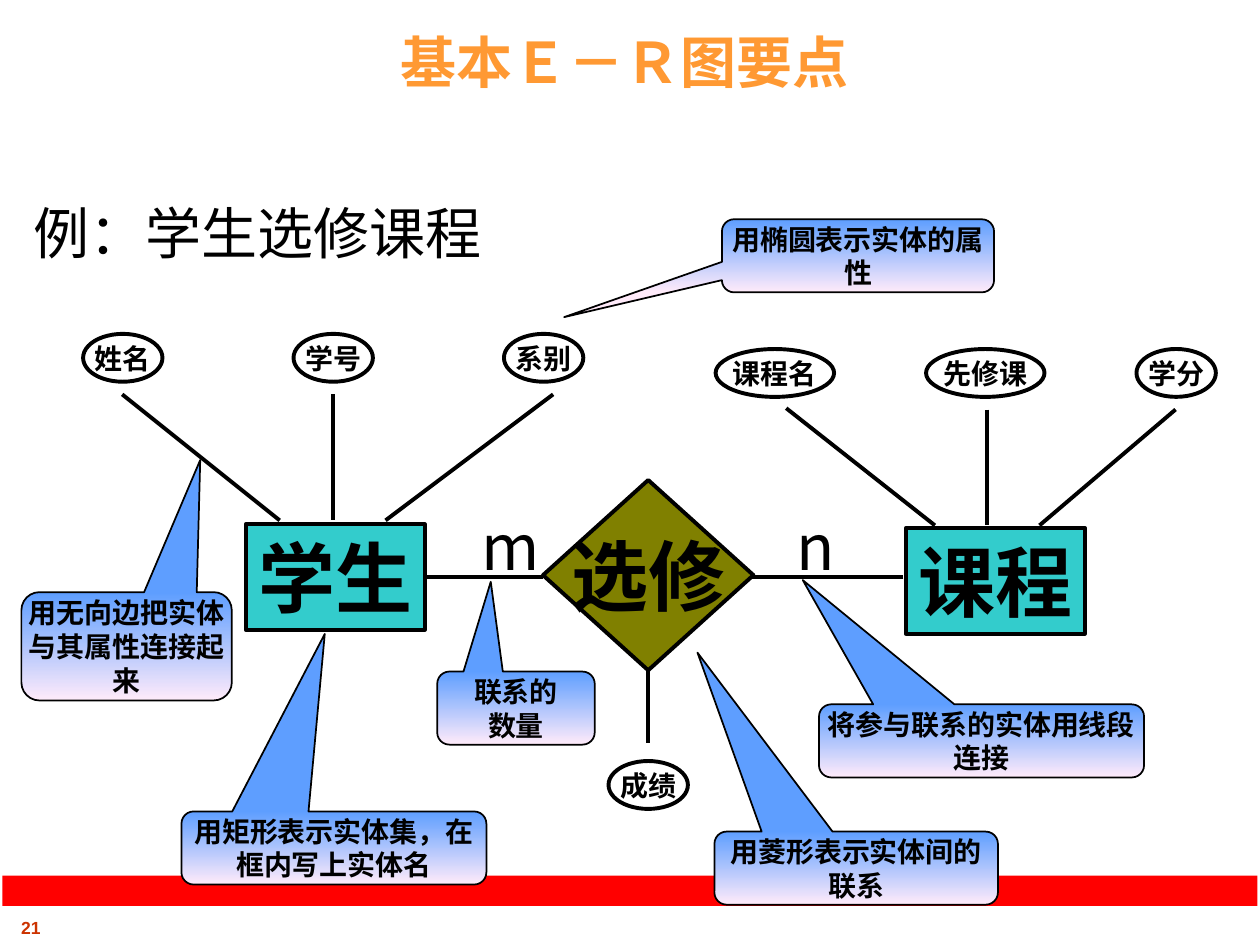
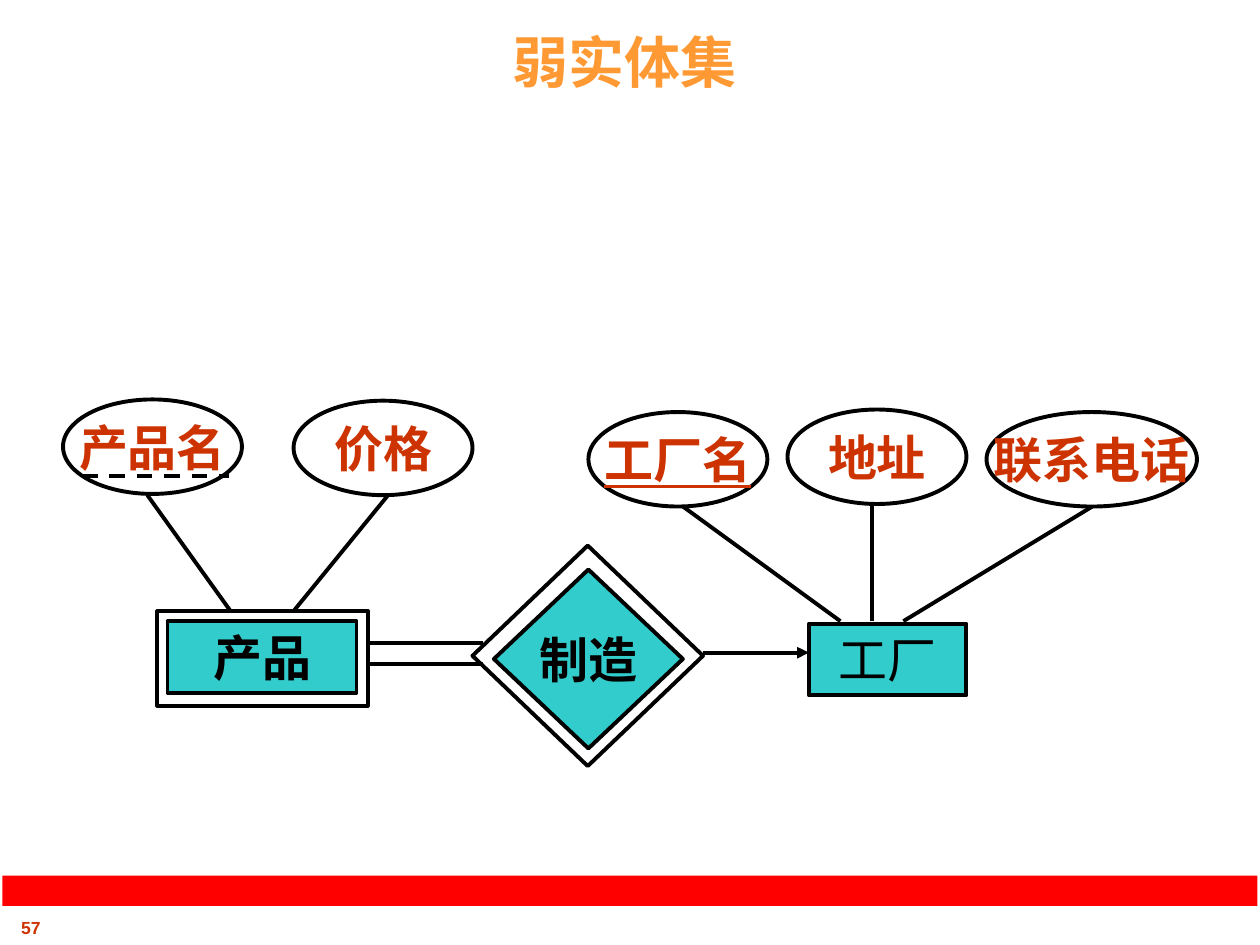
"""Build two slides on basic E-R diagrams and weak entity sets."""
from dataclasses import dataclass

from lxml import etree
from pptx import Presentation
from pptx.dml.color import RGBColor
from pptx.enum.dml import MSO_LINE
from pptx.enum.shapes import MSO_CONNECTOR, MSO_SHAPE
from pptx.enum.text import MSO_ANCHOR, PP_ALIGN
from pptx.oxml.ns import qn
from pptx.util import Inches, Pt

RECTANGLE = MSO_SHAPE.RECTANGLE
DIAMOND = MSO_SHAPE.DIAMOND
OVAL = MSO_SHAPE.OVAL
CALLOUT = MSO_SHAPE.ROUNDED_RECTANGULAR_CALLOUT
STRAIGHT = MSO_CONNECTOR.STRAIGHT
DASH = MSO_LINE.DASH
TOP, MIDDLE, BOTTOM = MSO_ANCHOR.TOP, MSO_ANCHOR.MIDDLE, MSO_ANCHOR.BOTTOM
LEFT, CENTER = PP_ALIGN.LEFT, PP_ALIGN.CENTER

BLACK, WHITE = "000000", "FFFFFF"
TEAL, OLIVE = "33CCCC", "808000"
ORANGE, BRICK, RED = "FF9933", "CC3300", "FF0000"
NOTE_TOP, NOTE_BOTTOM = "5E9EFF", "FFEBFA"
SC, JP = "Noto Sans CJK SC", "Noto Sans CJK JP"
SERIF, SANS = "Times New Roman", "Arial"
STROKE = 2.25


@dataclass(frozen=True)
class Style:
    """Look and placement of a text."""
    size: float
    font: str
    east_asian: str = SC
    color: str = BLACK
    bold: bool = True
    underline: bool = False
    align: PP_ALIGN = CENTER
    anchor: MSO_ANCHOR = MIDDLE
    wrap: bool = False
    tight: bool = False


@dataclass(frozen=True)
class Node:
    """Entity, relationship or attribute of a diagram."""
    outline: MSO_SHAPE
    left: float
    top: float
    width: float
    height: float
    fill: str | None = None
    text: str = ""
    style: Style | None = None


@dataclass(frozen=True)
class Edge:
    """Straight link between two points."""
    x1: float
    y1: float
    x2: float
    y2: float
    arrow: bool = False
    dashed: bool = False


@dataclass(frozen=True)
class Note:
    """Explanatory callout whose tip is relative to its size."""
    left: float
    top: float
    width: float
    height: float
    tip_x: float
    tip_y: float
    text: str


TITLE = Style(32, SC, color=ORANGE, anchor=BOTTOM, wrap=True)
LATIN_TITLE = Style(32, SANS, color=ORANGE, anchor=BOTTOM, wrap=True)
PAGE = Style(10, SANS, color=BRICK, anchor=TOP)
EXAMPLE = Style(32, SC, bold=False, align=LEFT, anchor=TOP, wrap=True)
BIG_NAME = Style(44, JP, JP)
SMALL_NAME = Style(16, JP, JP, tight=True)
NOTE_TEXT = Style(16, JP, JP, wrap=True, tight=True)
CARDINALITY = Style(36, JP, JP, bold=False)
ENTITY = Style(28, SERIF, anchor=TOP, wrap=True)
PLAIN_ENTITY = Style(28, SERIF, bold=False, anchor=TOP, wrap=True)
RELATION = Style(28, SERIF)
ATTRIBUTE = Style(28, SERIF, color=BRICK)
KEY_ATTRIBUTE = Style(28, SERIF, color=BRICK, underline=True)


def rgb(value: str) -> RGBColor:
    """Turn a hex string into a colour."""
    return RGBColor.from_string(value)


def write(frame, text: str, style: Style) -> None:
    """Fill a text frame in the given style."""
    frame.text = text
    frame.word_wrap = style.wrap
    frame.vertical_anchor = style.anchor
    frame.margin_left = frame.margin_right = Inches(0 if style.tight else 0.1)
    frame.margin_top = frame.margin_bottom = Inches(0 if style.tight else 0.05)
    for paragraph in frame.paragraphs:
        paragraph.alignment = style.align
        font = paragraph.font
        font.size, font.bold = Pt(style.size), style.bold
        font.underline = style.underline
        font.color.rgb = rgb(style.color)
        font.name = style.font
        defaults = paragraph._p.pPr.find(qn("a:defRPr"))
        etree.SubElement(defaults, qn("a:ea"), typeface=style.east_asian)


def add_label(slide, left: float, top: float, width: float, height: float,
              text: str, style: Style) -> None:
    """Add free-standing text."""
    box = slide.shapes.add_textbox(*map(Inches, (left, top, width, height)))
    write(box.text_frame, text, style)


def add_outline(slide, outline: MSO_SHAPE, left: float, top: float,
                width: float, height: float, stroke: float):
    """Add a shadowless shape with a black line."""
    shape = slide.shapes.add_shape(outline, *map(Inches, (left, top, width, height)))
    shape.shadow.inherit = False
    shape.line.color.rgb = rgb(BLACK)
    shape.line.width = Pt(stroke)
    return shape


def add_node(slide, node: Node) -> None:
    """Draw one diagram node."""
    shape = add_outline(slide, node.outline, node.left, node.top,
                        node.width, node.height, STROKE)
    if node.fill:
        shape.fill.solid()
        shape.fill.fore_color.rgb = rgb(node.fill)
    else:
        shape.fill.background()
    if node.style:
        write(shape.text_frame, node.text, node.style)


def add_edge(slide, edge: Edge) -> None:
    """Draw one link."""
    ends = map(Inches, (edge.x1, edge.y1, edge.x2, edge.y2))
    link = slide.shapes.add_connector(STRAIGHT, *ends)
    link.line.color.rgb = rgb(BLACK)
    link.line.width = Pt(STROKE)
    if edge.dashed:
        link.line.dash_style = DASH
    if edge.arrow:
        etree.SubElement(link.line._get_or_add_ln(), qn("a:tailEnd"), type="triangle")
    etree.SubElement(link._element.spPr, qn("a:effectLst"))


def add_note(slide, note: Note) -> None:
    """Draw one callout with a vertical gradient."""
    shape = add_outline(slide, CALLOUT, note.left, note.top, note.width, note.height, 1)
    shape.adjustments[0], shape.adjustments[1] = note.tip_x, note.tip_y
    shape.fill.gradient()
    shape.fill.gradient_angle = 270
    for stop, color in zip(shape.fill.gradient_stops, (NOTE_TOP, NOTE_BOTTOM)):
        stop.color.rgb = rgb(color)
    write(shape.text_frame, note.text, NOTE_TEXT)


def add_page(deck, number: int, title: str, style: Style):
    """Add a slide with its page number, red band and title."""
    slide = deck.slides.add_slide(deck.slide_layouts[6])
    add_label(slide, -0.19, 7.23, 0.87, 0.27, str(number), PAGE)
    band = slide.shapes.add_shape(RECTANGLE, *map(Inches, (0.02, 6.95, 9.96, 0.24)))
    band.shadow.inherit = False
    band.fill.solid()
    band.fill.fore_color.rgb = rgb(RED)
    band.line.fill.background()
    add_label(slide, 0.25, 0.13, 9.42, 0.67, title, style)
    return slide


def small_attribute(text: str, left: float, top: float) -> Node:
    """Describe an oval as wide as its name needs."""
    width = 0.94 if len(text) > 2 else 0.63
    return Node(OVAL, left, top, width, 0.38, WHITE, text, SMALL_NAME)


def large_attribute(text: str, left: float, top: float, width: float = 1.42,
                    style: Style = ATTRIBUTE) -> Node:
    """Describe an oval of the weak entity diagram."""
    return Node(OVAL, left, top, width, 0.75, WHITE, text, style)


def build_basic_diagram(deck) -> None:
    """Draw students taking courses, with notes."""
    slide = add_page(deck, 21, "基本Ｅ－Ｒ图要点", TITLE)
    add_label(slide, 0.17, 1.53, 3.92, 0.64, "例：学生选修课程", EXAMPLE)
    nodes = [
        Node(RECTANGLE, 1.95, 4.16, 1.42, 0.84, TEAL, "学生", BIG_NAME),
        Node(RECTANGLE, 7.19, 4.19, 1.42, 0.84, TEAL, "课程", BIG_NAME),
        Node(DIAMOND, 4.31, 3.81, 1.67, 1.51, OLIVE, "选修", BIG_NAME),
        small_attribute("成绩", 4.83, 6.04),
    ]
    for names, left, top in ((("姓名", "学号", "系别"), 0.66, 2.65),
                             (("课程名", "先修课", "学分"), 5.68, 2.77)):
        nodes += [small_attribute(name, left + 1.67 * i, top)
                  for i, name in enumerate(names)]
    edges = (
        Edge(4.31, 4.58, 3.39, 4.58),
        Edge(2.64, 3.13, 2.64, 4.13),
        Edge(2.22, 4.13, 0.97, 3.13),
        Edge(3.06, 4.13, 4.39, 3.13),
        Edge(7.17, 4.58, 5.97, 4.58),
        Edge(7.42, 4.17, 6.24, 3.24),
        Edge(8.25, 4.17, 9.33, 3.25),
        Edge(7.83, 3.25, 7.83, 4.17),
        Edge(5.14, 5.32, 5.14, 5.9),
    )
    notes = (
        Note(1.44, 6.44, 2.42, 0.58, -0.03, -2.93, "用矩形表示实体集，在框内写上实体名"),
        Note(5.73, 1.74, 2.16, 0.58, -1.08, 0.84, "用椭圆表示实体的属性"),
        Note(0.17, 4.7, 1.67, 0.86, 0.35, -1.72, "用无向边把实体与其属性连接起来"),
        Note(5.67, 6.6, 2.25, 0.58, -0.56, -2.95, "用菱形表示实体间的联系"),
        Note(6.5, 5.59, 2.58, 0.58, -0.55, -2.2, "将参与联系的实体用线段连接"),
        Note(3.47, 5.33, 1.25, 0.58, -0.16, -1.73, "联系的\n数量"),
    )
    for node in nodes:
        add_node(slide, node)
    for edge in edges:
        add_edge(slide, edge)
    for note in notes:
        add_note(slide, note)
    for symbol, left in (("m", 3.72), ("n", 6.22)):
        add_label(slide, left, 4.16, 0.33, 0.33, symbol, CARDINALITY)


def build_weak_entity_diagram(deck) -> None:
    """Draw products as a weak entity set of factories."""
    slide = add_page(deck, 57, "弱实体集", LATIN_TITLE)
    nodes = (
        Node(RECTANGLE, 1.33, 4.93, 1.5, 0.57, TEAL, "产品", ENTITY),
        Node(RECTANGLE, 1.25, 4.85, 1.67, 0.75),
        Node(RECTANGLE, 6.42, 4.95, 1.25, 0.57, TEAL, "工厂", PLAIN_ENTITY),
        Node(DIAMOND, 3.92, 4.52, 1.5, 1.42, TEAL, "制造", RELATION),
        Node(DIAMOND, 3.75, 4.33, 1.83, 1.75),
        large_attribute("产品名", 0.5, 3.17),
        large_attribute("价格", 2.33, 3.18),
        large_attribute("工厂名", 4.67, 3.27, style=KEY_ATTRIBUTE),
        large_attribute("地址", 6.25, 3.25),
        large_attribute("联系电话", 7.83, 3.27, 1.67),
    )
    edges = (
        Edge(2.92, 5.1, 3.83, 5.1),
        Edge(2.92, 5.27, 3.83, 5.27),
        Edge(5.58, 5.18, 6.42, 5.18, arrow=True),
        Edge(1.83, 4.85, 1.17, 3.93),
        Edge(2.33, 4.85, 3.08, 3.93),
        Edge(6.67, 4.93, 5.42, 4.02),
        Edge(6.92, 4.93, 6.92, 4.02),
        Edge(7.17, 4.93, 8.67, 4.02),
        Edge(0.65, 3.78, 1.82, 3.78, dashed=True),
    )
    for node in nodes:
        add_node(slide, node)
    for edge in edges:
        add_edge(slide, edge)


def main() -> None:
    """Build and save the deck."""
    deck = Presentation()
    deck.slide_width, deck.slide_height = Inches(10), Inches(7.5)
    build_basic_diagram(deck)
    build_weak_entity_diagram(deck)
    deck.save("out.pptx")


if __name__ == "__main__":
    main()
